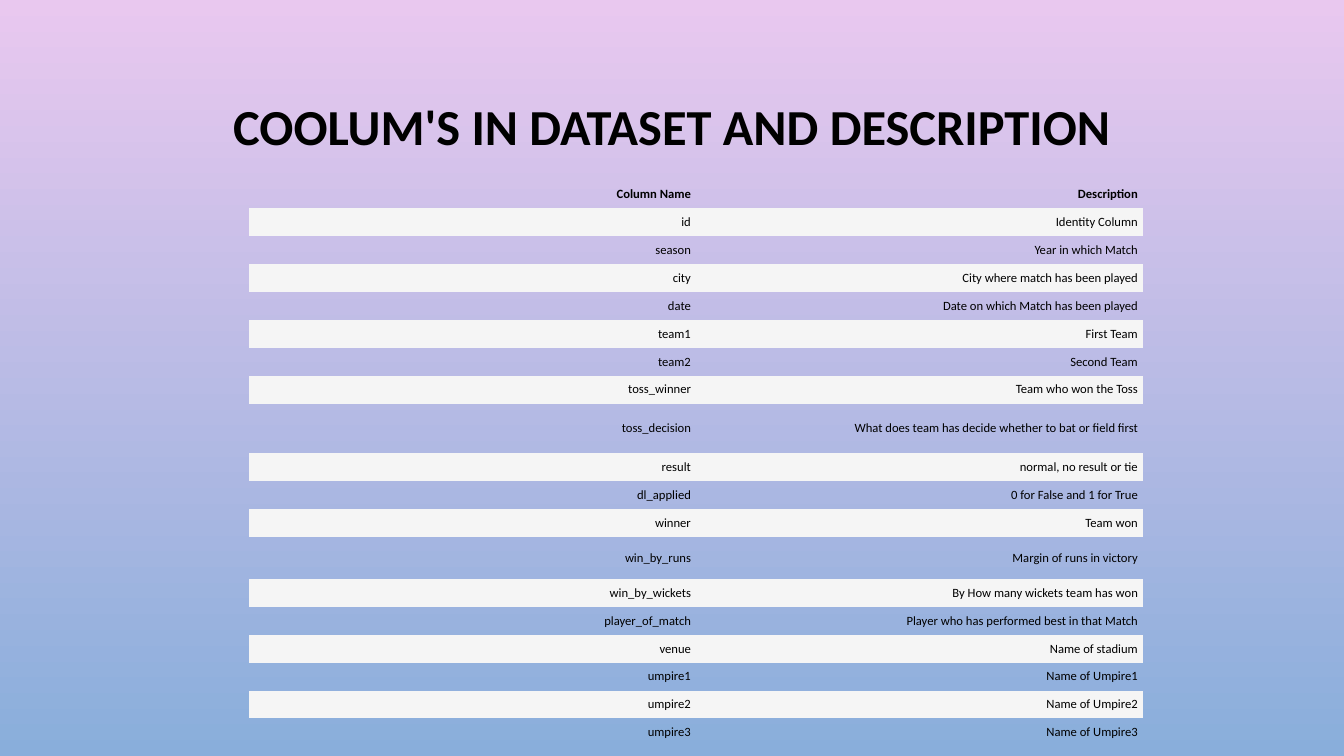
from pptx import Presentation
from pptx.dml.color import RGBColor
from pptx.enum.text import MSO_ANCHOR, PP_ALIGN
from pptx.oxml.ns import qn
from pptx.util import Inches, Pt

COLUMNS = [
    ("Column Name", "Description"),
    ("id", "Identity Column"),
    ("season", "Year in which Match"),
    ("city", "City where match has been played"),
    ("date", "Date on which Match has been played"),
    ("team1", "First Team"),
    ("team2", "Second Team"),
    ("toss_winner", "Team who won the Toss"),
    ("toss_decision", "What does team has decide whether to bat or field first"),
    ("result", "normal, no result or tie"),
    ("dl_applied", "0 for False and 1 for True"),
    ("winner", "Team won"),
    ("win_by_runs", "Margin of runs in victory"),
    ("win_by_wickets", "By How many wickets team has won"),
    ("player_of_match", "Player who has performed best in that Match"),
    ("venue", "Name of stadium"),
    ("umpire1", "Name of Umpire1"),
    ("umpire2", "Name of Umpire2"),
    ("umpire3", "Name of Umpire3"),
]
TALL_ROWS = {"toss_decision": 6.53, "win_by_runs": 5.6}
NO_STYLE = "{2D5ABB26-0587-4C30-8999-92F81FD0307C}"


def colour(value):
    return RGBColor.from_string(value)


def apply(target, values):
    for name, value in values.items():
        setattr(target, name, value)


class SlideBuilder:
    font_name = "Calibri"
    ink = "000000"
    band = "F5F5F5"
    cell_format = {
        "vertical_anchor": MSO_ANCHOR.MIDDLE,
        "margin_left": Inches(0.05),
        "margin_right": Inches(0.05),
        "margin_top": Inches(0.02),
        "margin_bottom": Inches(0.02),
    }

    def __init__(self, presentation):
        self.width = presentation.slide_width
        self.height = presentation.slide_height
        self.slide = presentation.slides.add_slide(presentation.slide_layouts[6])

    def across(self, percent):
        return round(self.width * percent / 100)

    def down(self, percent):
        return round(self.height * percent / 100)

    def box(self, left, top, width, height):
        return self.across(left), self.down(top), self.across(width), self.down(height)

    def background(self, *stops):
        fill = self.slide.background.fill
        fill.gradient()
        fill.gradient_angle = 270
        for stop, value in zip(fill.gradient_stops, stops):
            stop.color.rgb = colour(value)

    def add_text(self, frame, text, size, bold, **paragraph_format):
        paragraph = frame.paragraphs[0]
        apply(paragraph, paragraph_format)
        run = paragraph.add_run()
        run.text = text
        apply(run.font, {"name": self.font_name, "size": Pt(size), "bold": bold})
        run.font.color.rgb = colour(self.ink)

    def title(self, text, *area):
        frame = self.slide.shapes.add_textbox(*self.box(*area)).text_frame
        apply(frame, {
            "word_wrap": True,
            "vertical_anchor": MSO_ANCHOR.MIDDLE,
            "margin_bottom": Inches(0.6),
        })
        self.add_text(frame, text, 36, True, alignment=PP_ALIGN.CENTER, line_spacing=0.9)

    def table(self, rows, tall_rows, left, top, width, height):
        graphic = self.slide.shapes.add_table(
            len(rows), len(rows[0]), *self.box(left, top, width, height))
        for style in graphic.element.iter(qn("a:tableStyleId")):
            style.text = NO_STYLE
        table = graphic.table
        apply(table, {"first_row": False, "horz_banding": False})
        usual = (height - sum(tall_rows.values())) / (len(rows) - len(tall_rows))
        for index, texts in enumerate(rows):
            table.rows[index].height = self.down(tall_rows.get(texts[0], usual))
            for cell, text in zip(table.rows[index].cells, texts):
                apply(cell, self.cell_format)
                if index % 2:
                    cell.fill.solid()
                    cell.fill.fore_color.rgb = colour(self.band)
                else:
                    cell.fill.background()
                self.add_text(cell.text_frame, text, 9, index == 0,
                              alignment=PP_ALIGN.RIGHT)


def main():
    presentation = Presentation()
    apply(presentation, {"slide_width": Inches(13.33), "slide_height": Inches(7.5)})
    builder = SlideBuilder(presentation)
    builder.background("E9C8EF", "89AEDB")
    builder.title("COOLUM'S IN DATASET AND DESCRIPTION", 7.5, 9.07, 85, 23.33)
    builder.table(COLUMNS, TALL_ROWS, 18.53, 23.87, 66.5, 74.93)
    presentation.save("out.pptx")


if __name__ == "__main__":
    main()
